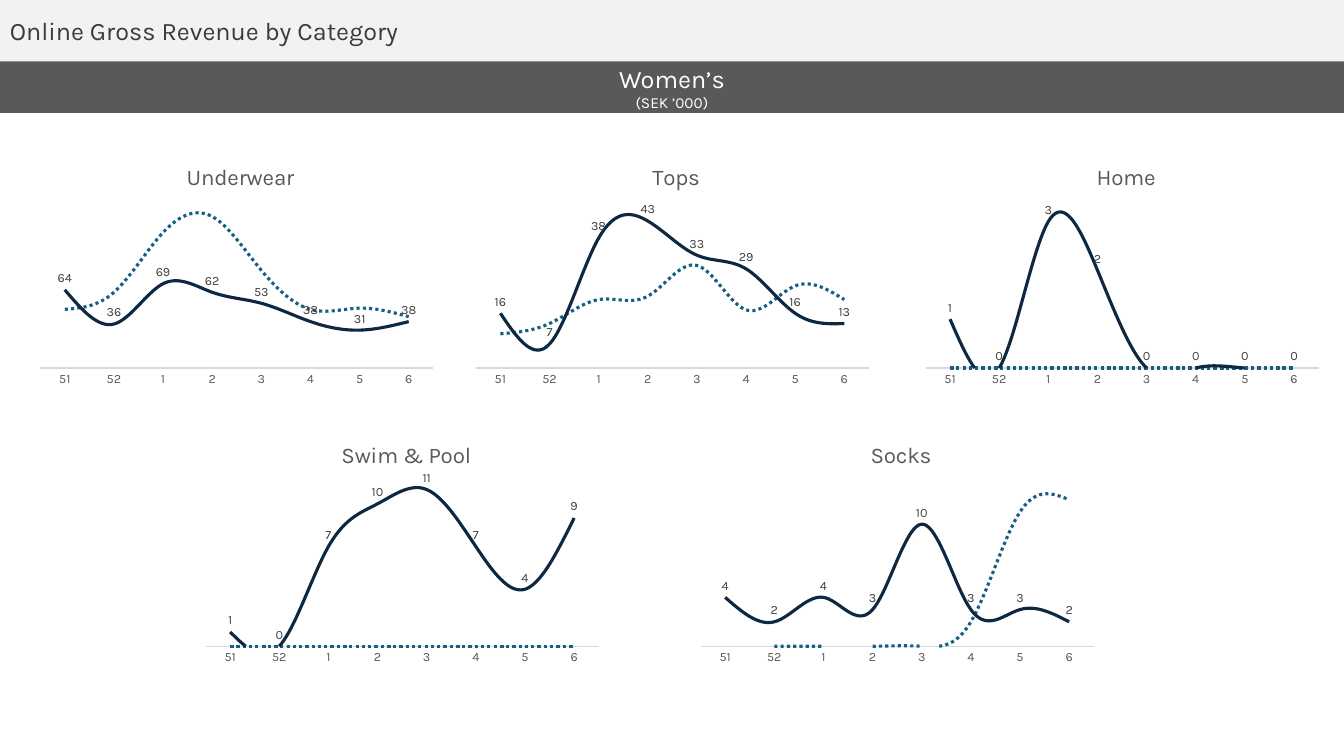
from dataclasses import dataclass

from pptx import Presentation
from pptx import util as u
from pptx.chart import data as cd
from pptx.dml.color import RGBColor
from pptx.enum import chart as ch, dml, shapes, text
from pptx.oxml import parse_xml
from pptx.oxml.ns import nsdecls, qn


@dataclass(frozen=True)
class Theme:
    font: str = "Karla"
    title_fill: str = "F2F2F2"
    title_text: str = "3A3A3A"
    band_fill: str = "595959"
    band_text: str = "FFFFFF"
    axis_text: str = "595959"
    axis_line: str = "D9D9D9"
    label_text: str = "404040"
    dotted: str = "156082"
    solid: str = "0E2841"
    heading: int = 18
    subheading: int = 11
    chart_title: int = 16
    chart_text: int = 9
    line: float = 2.25


T = Theme()
WEEKS = ["51", "52", "1", "2", "3", "4", "5", "6"]
CHART_W, CHART_H = 4.07, 2.48
ROWS = (1.41, 4.17)
# Name, left, row, title width, axis maximum, dotted values, solid values
CATEGORIES = [
    ("Underwear", 0.31, 0, 1.07, 140,
     (48, 62, 111, 124, 80, 48, 49, 42), (64, 36, 69, 62, 53, 38, 31, 38)),
    ("Tops", 4.63, 0, 0.47, 50,
     (10, 13, 20, 21, 30, 17, 24, 20), (16, 7, 38, 43, 33, 29, 16, 13)),
    ("Home", 9.09, 0, 0.58, 3.5, (0,) * 8, (1, 0, 3, 2, 0, 0, 0, 0)),
    ("Swim & Pool", 1.95, 1, 1.28, 12, (0,) * 8, (1, 0, 7, 10, 11, 7, 4, 9)),
    ("Socks", 6.86, 1, 0.6, 14,
     (0, 0, 0, 0, 0, 2, 11, 12), (4, 2, 4, 3, 10, 3, 3, 2)),
]


def style_font(font, size, color):
    for name, value in {"name": T.font, "size": u.Pt(size), "bold": False}.items():
        setattr(font, name, value)
    font.color.rgb = RGBColor.from_string(color)


def add_band(slide, box, fill, color, lines, align):
    """Full-width bar holding one paragraph per (text, size) pair."""
    sp = slide.shapes.add_shape(shapes.MSO_SHAPE.RECTANGLE, *map(u.Inches, box))
    sp.shadow.inherit = False
    sp.fill.solid()
    sp.fill.fore_color.rgb = RGBColor.from_string(fill)
    sp.line.fill.background()
    tf = sp.text_frame
    tf.vertical_anchor = text.MSO_ANCHOR.MIDDLE
    for i, (words, size) in enumerate(lines):
        p = tf.add_paragraph() if i else tf.paragraphs[0]
        p.alignment = align
        r = p.add_run()
        r.text = words
        style_font(r.font, size, color)


def set_layout(parent, index, **place):
    """Give a chart part a manual layout, in fractions of the chart."""
    for old in parent.findall(qn("c:layout")):
        parent.remove(old)
    inner = '<c:layoutTarget val="inner"/>' if "w" in place else ""
    modes = "".join(f'<c:{k}Mode val="edge"/>' for k in "xy")
    sizes = "".join(f'<c:{k} val="{v:.3f}"/>' for k, v in place.items())
    parent.insert(index, parse_xml(
        f'<c:layout {nsdecls("c")}><c:manualLayout>{inner}{modes}{sizes}'
        "</c:manualLayout></c:layout>"))


def style_axes(chart, top):
    cat, val = chart.category_axis, chart.value_axis
    cat.major_tick_mark = ch.XL_TICK_MARK.NONE
    cat.format.line.color.rgb = RGBColor.from_string(T.axis_line)
    cat.format.line.width = u.Pt(0.75)
    style_font(cat.tick_labels.font, T.chart_text, T.axis_text)
    formats = {"visible": False, "has_major_gridlines": False,
               "minimum_scale": 0, "maximum_scale": top}
    for name, value in formats.items():
        setattr(val, name, value)


def style_series(series, color, dash):
    series.smooth = True
    series.marker.style = ch.XL_MARKER_STYLE.NONE
    line = series.format.line
    line.color.rgb = RGBColor.from_string(color)
    line.width = u.Pt(T.line)
    line.dash_style = dash


def add_category_chart(slide, box, name, title_width, top, dotted, solid):
    data = cd.CategoryChartData()
    data.categories = WEEKS
    data.add_series("Series 1", dotted)
    data.add_series("Series 2", solid)
    chart = slide.shapes.add_chart(
        ch.XL_CHART_TYPE.LINE, *map(u.Inches, box), data).chart
    chart.has_legend = False
    style_font(chart.font, T.chart_text, T.axis_text)

    chart.has_title = True
    title = chart.chart_title
    title.include_in_layout = False
    r = title.text_frame.paragraphs[0].add_run()
    r.text = name
    style_font(r.font, T.chart_title, T.axis_text)
    set_layout(title._element, 1, x=(1 - title_width / box[2]) / 2, y=0.065)

    plot_area = chart._chartSpace.chart.plotArea
    set_layout(plot_area, 0, x=0.022, y=0.22, w=0.958, h=0.684)
    style_axes(chart, top)

    plot = chart.plots[0]
    plot.vary_by_categories = False
    first, second = plot.series
    style_series(first, T.dotted, dml.MSO_LINE.ROUND_DOT)
    style_series(second, T.solid, dml.MSO_LINE.SOLID)
    labels = second.data_labels
    labels.show_value = True
    labels.position = ch.XL_LABEL_POSITION.ABOVE
    style_font(labels.font, T.chart_text, T.label_text)


def build_revenue_slide(prs):
    slide = prs.slides.add_slide(prs.slide_layouts[6])
    add_band(slide, (0, 0, 13.33, 0.61), T.title_fill, T.title_text,
             [("Online Gross Revenue by Category", T.heading)],
             text.PP_ALIGN.LEFT)
    add_band(slide, (0, 0.61, 13.33, 0.51), T.band_fill, T.band_text,
             [("Women’s", T.heading), ("(SEK ’000)", T.subheading)],
             text.PP_ALIGN.CENTER)
    for name, left, row, *values in CATEGORIES:
        add_category_chart(slide, (left, ROWS[row], CHART_W, CHART_H),
                           name, *values)


def main():
    prs = Presentation()
    prs.slide_width, prs.slide_height = u.Inches(13.33), u.Inches(7.5)
    build_revenue_slide(prs)
    prs.save("out.pptx")


if __name__ == "__main__":
    main()
